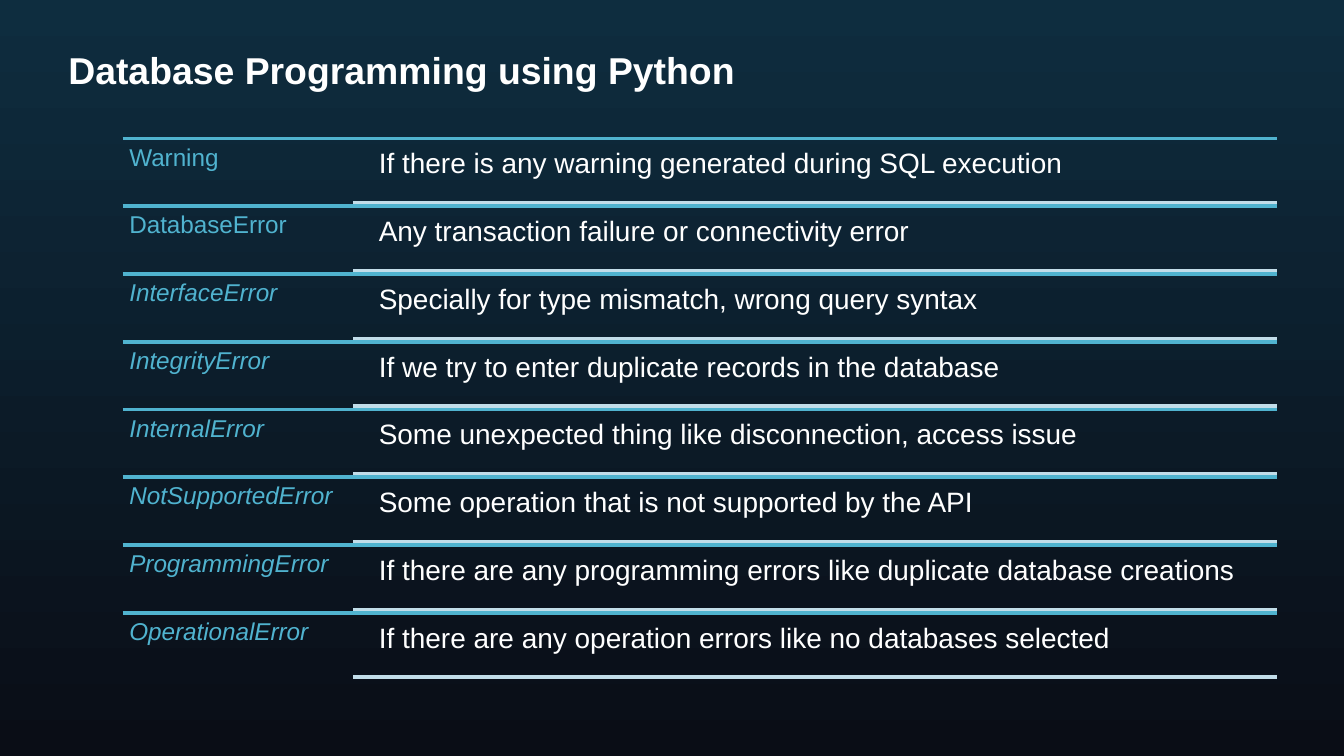
from lxml.etree import SubElement
from pptx import Presentation
from pptx.dml.color import RGBColor
from pptx.enum.shapes import MSO_CONNECTOR as CONN
from pptx.enum.text import MSO_ANCHOR as ANCHOR
from pptx.oxml.ns import qn
from pptx.util import Pt

ACCENT, PALE, WHITE = "50B3CF", "C2DDE9", "FFFFFF"
ERRORS = [
    ("Warning", "If there is any warning generated during SQL execution", False),
    ("DatabaseError", "Any transaction failure or connectivity error", False),
    ("InterfaceError", "Specially for type mismatch, wrong query syntax", True),
    ("IntegrityError", "If we try to enter duplicate records in the database", True),
    ("InternalError", "Some unexpected thing like disconnection, access issue", True),
    ("NotSupportedError", "Some operation that is not supported by the API", True),
    ("ProgrammingError", "If there are any programming errors like duplicate database creations", True),
    ("OperationalError", "If there are any operation errors like no databases selected", True),
]


def color(value):
    return RGBColor.from_string(value)


def add_text(s, text, x, y, w, h, *, size, fill=WHITE, bold=False, italic=False,
             inset=3.6, spacing=0.9, anchor=ANCHOR.TOP):
    sp = s.shapes.add_textbox(Pt(x), Pt(y), Pt(w), Pt(h))
    tf = sp.text_frame
    tf.word_wrap = True
    tf.vertical_anchor = anchor
    tf.margin_left = tf.margin_right = tf.margin_top = tf.margin_bottom = Pt(inset)
    p = tf.paragraphs[0]
    p.line_spacing = spacing
    r = p.add_run()
    r.text = text
    r.font.name = "Arial"
    r.font.size = Pt(size)
    r.font.bold = bold
    r.font.italic = italic
    r.font.color.rgb = color(fill)


def add_rule(s, x1, x2, y, fill):
    cn = s.shapes.add_connector(CONN.STRAIGHT, Pt(x1), Pt(y), Pt(x2), Pt(y))
    cn.line.color.rgb = color(fill)
    cn.line.width = Pt(2)
    SubElement(cn._element.spPr, qn("a:effectLst"))


def paint_background(s):
    fill = s.background.fill
    fill.gradient()
    fill.gradient_angle = 270
    for stop, position, value in zip(fill.gradient_stops, (0, 1), ("0E2D3F", "0A0D16")):
        stop.position = position
        stop.color.rgb = color(value)


def add_title(s, x, y, w, h):
    add_text(s, "Database Programming using Python", x, y, w, h, size=20, bold=True,
             inset=7.2, spacing=1.0, anchor=ANCHOR.MIDDLE)


def add_error_row(s, x, y, w, h, name, meaning, italic):
    name_w, gap, pad = w * 0.2, 9.3, 1.7
    right = x + w
    detail_x = x + name_w + gap
    detail_h = h - 2 * pad
    add_rule(s, x, right, y, ACCENT)
    add_text(s, name, x, y, name_w, h, size=13, fill=ACCENT, italic=italic)
    add_text(s, meaning, detail_x, y + pad, right - detail_x, detail_h, size=15, inset=4.3)
    add_rule(s, x + name_w, right, y + h - pad, PALE)


def add_error_list(s, x, y, w, h):
    row_h = h / len(ERRORS)
    for i, error in enumerate(ERRORS):
        add_error_row(s, x, y + i * row_h, w, row_h, *error)


def main():
    prs = Presentation()
    prs.slide_width, prs.slide_height = Pt(720), Pt(405)
    s = prs.slides.add_slide(prs.slide_layouts[6])
    paint_background(s)
    add_title(s, 29.5, 19.4, 661, 36)
    add_error_list(s, 65.7, 74.2, 618.3, 290.4)
    prs.save("out.pptx")


if __name__ == "__main__":
    main()
